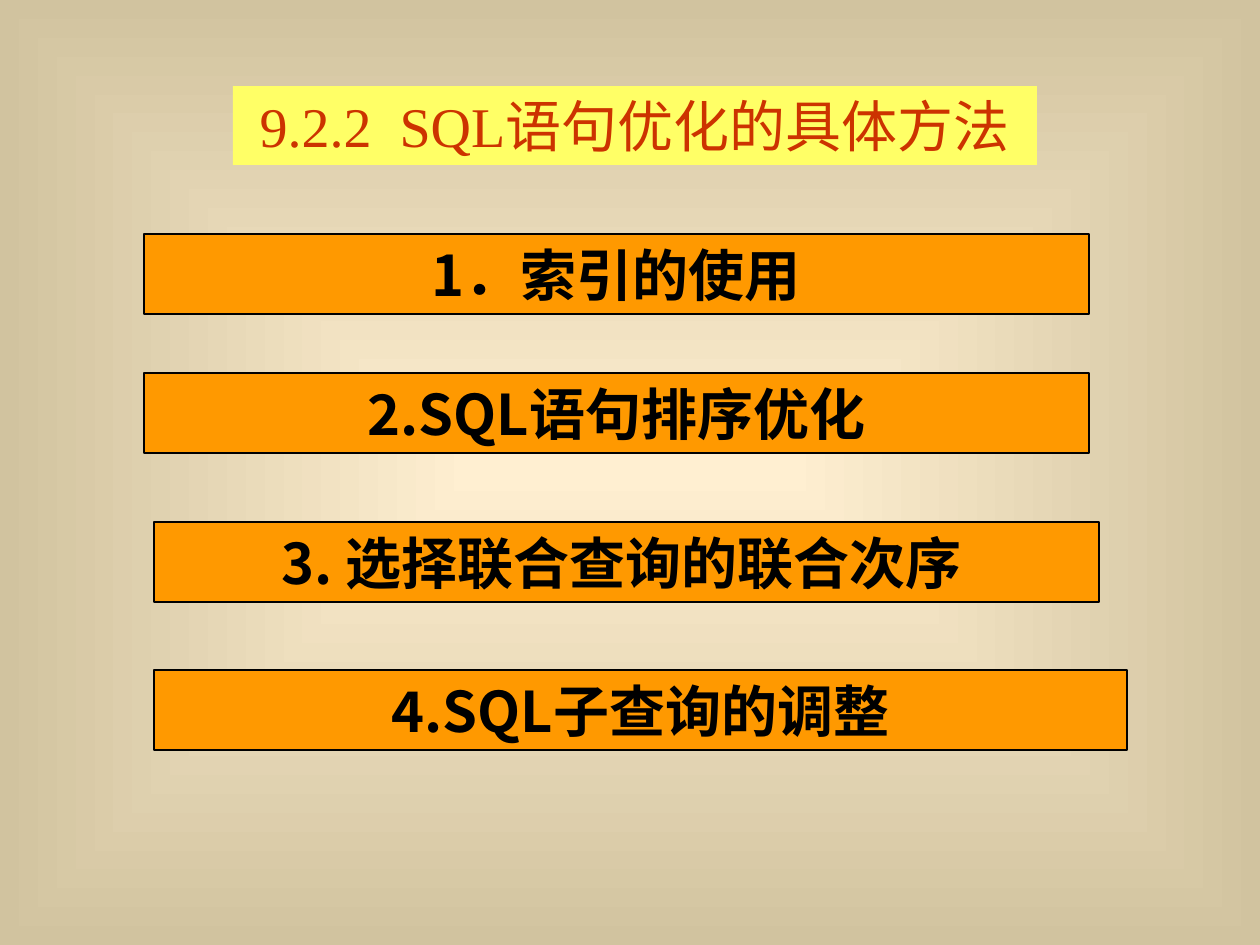
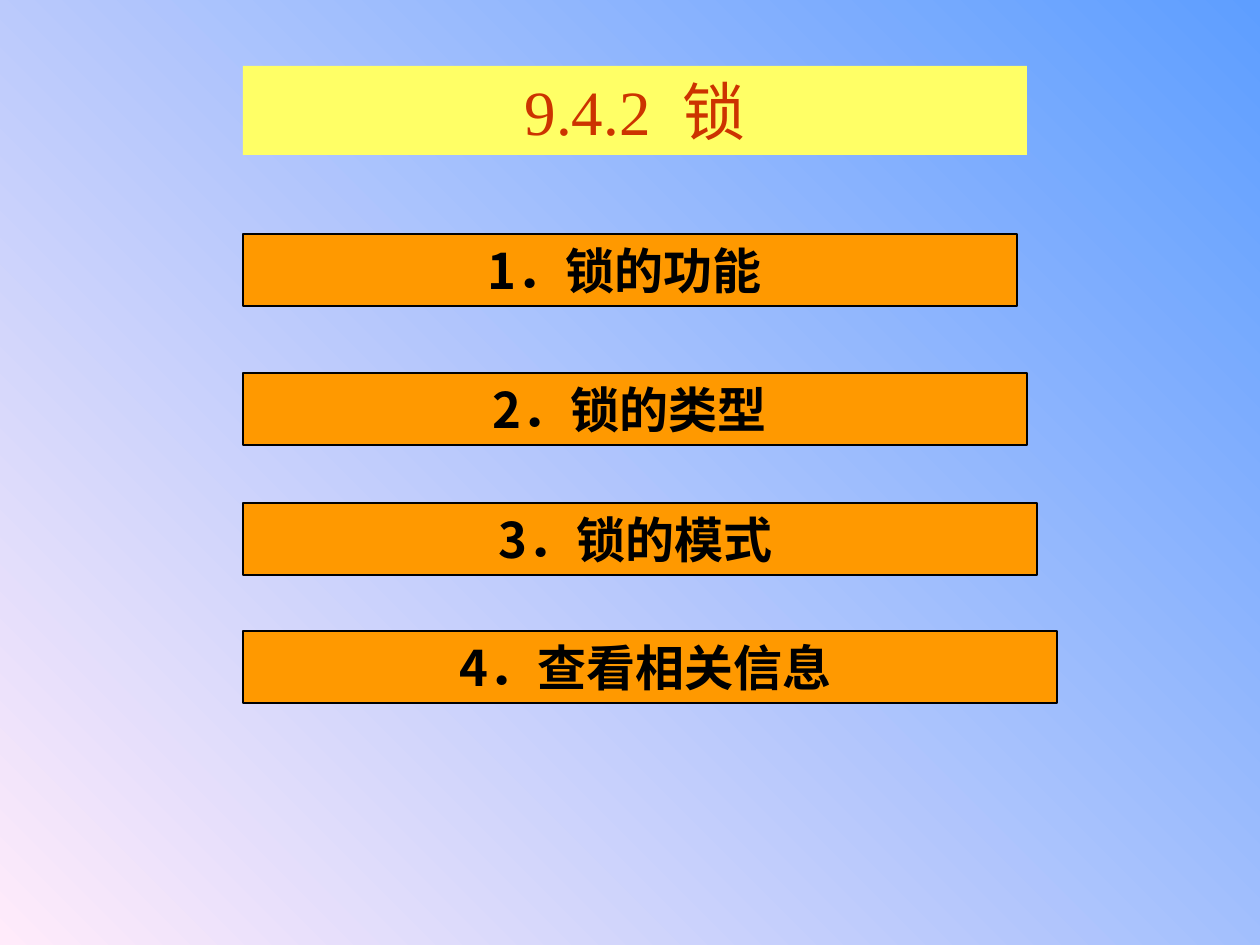
from dataclasses import dataclass

from lxml.etree import SubElement
from pptx import Presentation
from pptx.dml.color import RGBColor
from pptx.enum.shapes import MSO_SHAPE
from pptx.enum.text import MSO_ANCHOR, MSO_AUTO_SIZE, PP_ALIGN
from pptx.oxml.ns import qn
from pptx.util import Emu, Inches, Pt

EMU_PER_PX = 914400 / 126
SANS, SERIF = "Noto Sans CJK SC", "Times New Roman"


@dataclass(frozen=True)
class Theme:
    title_fill: str = "FFFF66"
    title_text: str = "CC3300"
    bar_fill: str = "FF9900"
    bar_text: str = "000000"
    bar_line: str = "000000"
    line_pt: float = 0.75
    tail_pt: int = 24


THEME = Theme()

# Each bar: left, top, width, text, font of a smaller closing space (or None)
SLIDES = [
    {
        "gradient": ("FFEFD1", "D1C39F"),
        "from_centre": True,
        "title": "9.2.2  SQL语句优化的具体方法",
        "title_box": (233, 86, 804, 79),
        "title_pt": 32,
        "bar_pt": 32,
        "bar_height": 80,
        "bars": [
            (144, 234, 945, "1．索引的使用", None),
            (144, 373, 945, "2.SQL语句排序优化", None),
            (154, 522, 945, "3. 选择联合查询的联合次序", SANS),
            (154, 670, 973, "4.SQL子查询的调整", None),
        ],
    },
    {
        "gradient": ("5E9EFF", "FFEBFA"),
        "from_centre": False,
        "title": "9.4.2  锁",
        "title_box": (243, 66, 784, 89),
        "title_pt": 36,
        "bar_pt": 28,
        "bar_height": 72,
        "bars": [
            (243, 234, 774, "1．锁的功能 ", None),
            (243, 373, 784, "2．锁的类型 ", None),
            (243, 503, 794, "3．锁的模式", SERIF),
            (243, 631, 814, "4．查看相关信息", SERIF),
        ],
    },
]


def px(n):
    return Emu(round(n * EMU_PER_PX))


def rgb(color):
    return RGBColor.from_string(color)


def paint_background(s, colors, from_centre):
    """Fill with two colours, from the centre outwards or from the top right corner."""
    fill = s.background.fill
    fill.gradient()
    for stop, color in zip(fill.gradient_stops, colors):
        stop.color.rgb = rgb(color)
    if not from_centre:
        fill.gradient_angle = 225
        return
    grad = s.element.find(".//" + qn("a:gradFill"))
    grad.remove(grad.find(qn("a:lin")))
    centre = SubElement(grad, qn("a:path"), {"path": "rect"})
    SubElement(centre, qn("a:fillToRect"), dict.fromkeys("ltrb", "50000"))


def add_box(s, box, fill):
    sp = s.shapes.add_shape(MSO_SHAPE.RECTANGLE, *map(px, box))
    sp.shadow.inherit = False
    sp.fill.solid()
    sp.fill.fore_color.rgb = rgb(fill)
    sp.text_frame.word_wrap = True
    sp.text_frame.paragraphs[0].alignment = PP_ALIGN.CENTER
    return sp


def add_run(sp, text, font, size, color, bold=False):
    r = sp.text_frame.paragraphs[0].add_run()
    r.text = text
    r.font.name, r.font.size, r.font.bold = font, Pt(size), bold
    r.font.color.rgb = rgb(color)
    SubElement(r.font._element, qn("a:ea"), {"typeface": SANS})


def add_title(s, text, box, size):
    sp = add_box(s, box, THEME.title_fill)
    sp.line.fill.background()
    sp.text_frame.vertical_anchor = MSO_ANCHOR.MIDDLE
    add_run(sp, text, SERIF, size, THEME.title_text)


def add_bar(s, box, text, size, tail_font):
    sp = add_box(s, box, THEME.bar_fill)
    sp.line.color.rgb = rgb(THEME.bar_line)
    sp.line.width = Pt(THEME.line_pt)
    sp.text_frame.vertical_anchor = MSO_ANCHOR.TOP
    sp.text_frame.auto_size = MSO_AUTO_SIZE.SHAPE_TO_FIT_TEXT
    add_run(sp, text, SANS, size, THEME.bar_text, bold=True)
    if tail_font:
        add_run(sp, " ", tail_font, THEME.tail_pt, THEME.bar_text, tail_font == SANS)


def main():
    prs = Presentation()
    prs.slide_width, prs.slide_height = Inches(10), Inches(7.5)
    for page in SLIDES:
        s = prs.slides.add_slide(prs.slide_layouts[6])
        paint_background(s, page["gradient"], page["from_centre"])
        add_title(s, page["title"], page["title_box"], page["title_pt"])
        for left, top, width, text, tail_font in page["bars"]:
            box = (left, top, width, page["bar_height"])
            add_bar(s, box, text, page["bar_pt"], tail_font)
    prs.save("out.pptx")


if __name__ == "__main__":
    main()
